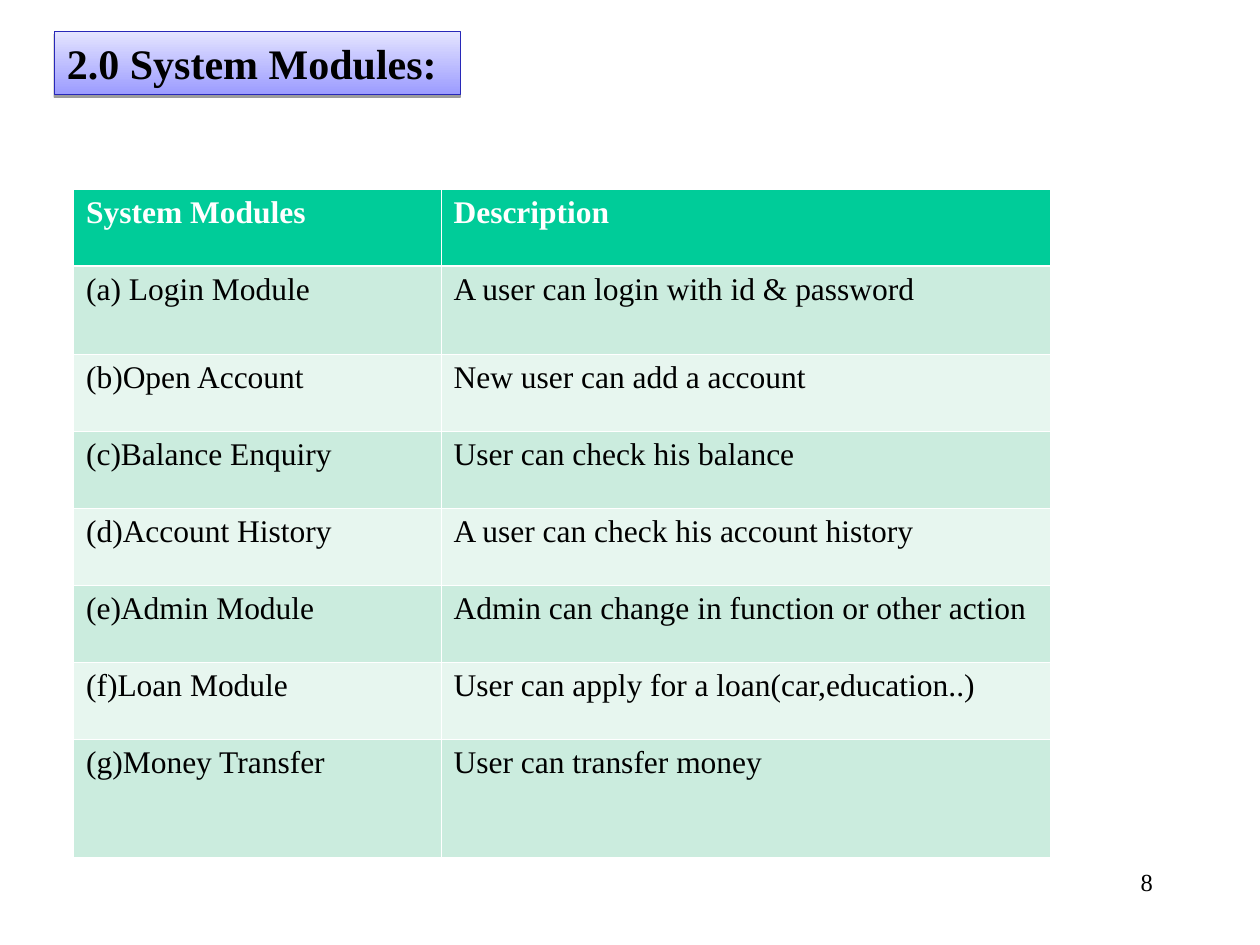
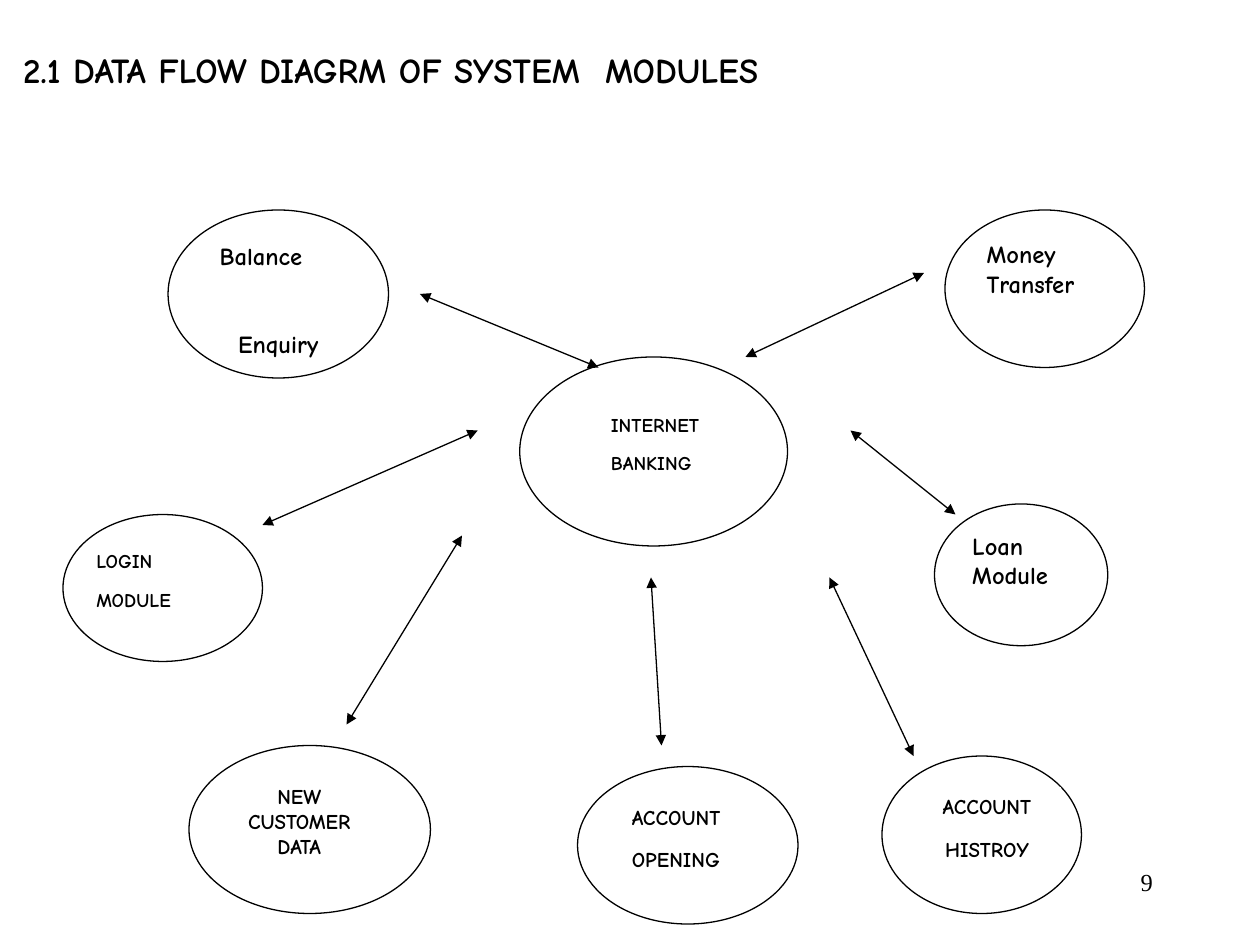
from dataclasses import dataclass

from lxml.etree import SubElement
from pptx import Presentation
from pptx.dml.color import RGBColor
from pptx.enum.shapes import MSO_CONNECTOR, MSO_SHAPE
from pptx.enum.text import MSO_ANCHOR, MSO_AUTO_SIZE, PP_ALIGN
from pptx.oxml.ns import qn
from pptx.util import Pt


@dataclass(frozen=True)
class Theme:
    serif: str = "Times New Roman"
    comic: str = "Comic Neue"
    ink: str = "000000"
    paper: str = "FFFFFF"
    header: str = "00CC99"
    bands: tuple = ("CBECDE", "E7F6EF")
    badge_fill: tuple = ("9C9CFF", "E4E4FF")
    badge_line: str = "2828B8"
    badge_size: float = 24
    heading_size: float = 20
    table_size: float = 18
    number_size: float = 14
    module_size: float = 14
    label_size: float = 12
    small_size: float = 11.1
    line: float = 0.75
    grid: float = 0.45
    header_rule: float = 1.47


THEME = Theme()
LEFT, CENTER, RIGHT = PP_ALIGN.LEFT, PP_ALIGN.CENTER, PP_ALIGN.RIGHT

MODULES = [
    ("System Modules", "Description"),
    ("(a) Login Module", "A user can login with id & password"),
    ("(b)Open Account", "New user can add a account"),
    ("(c)Balance Enquiry", "User can check his balance"),
    ("(d)Account History", "A user can check his account history"),
    ("(e)Admin Module", "Admin can change in function or other action"),
    ("(f)Loan Module", "User can apply for a loan(car,education..)"),
    ("(g)Money Transfer", "User can transfer money"),
]
COLUMN_WIDTHS = (210, 348)
ROW_HEIGHTS = (44, 50.5, 44, 44, 44, 44, 44, 67.5)

PLAIN_BUBBLES = [
    (297, 204, 153, 108),
    (504, 432, 114, 90),
    (330, 438, 126, 90),
    (36, 294, 114, 84),
    (108, 426, 138, 96),
]
NAMED_BUBBLES = [
    ((540, 120, 114, 90), "Money Transfer"),
    ((534, 288, 99, 81), "Loan Module"),
]
LABELS = [
    ((342, 234, 81, 45), ("INTERNET", "BANKING"), THEME.small_size, LEFT, 0.9),
    ((48, 312, 72, 45), ("LOGIN", "MODULE"), THEME.small_size, LEFT, 0.9),
    ((126, 444, 90, 54), ("NEW CUSTOMER DATA",), THEME.label_size, CENTER, 1.0),
    ((354, 456, 81, 54), ("ACCOUNT", "OPENING"), THEME.label_size, LEFT, 1.0),
    ((522, 450, 84, 48), ("ACCOUNT", "HISTROY"), THEME.label_size, CENTER, 1.0),
]
FLOWS = [
    (378, 426, 372, 330),
    (486, 246, 546, 294),
    (426, 204, 528, 156),
    (240, 168, 342, 210),
    (150, 300, 273, 246),
    (522, 432, 474, 330),
    (198, 414, 264, 306),
]


def rgb(value):
    return RGBColor.from_string(value)


def points(lengths):
    return [Pt(length) for length in lengths]


def write(frame, lines, font, size, bold=False, color=THEME.ink, align=LEFT,
          spacing=1.0, after=0, wrap=True):
    frame.word_wrap = wrap
    frame.auto_size = MSO_AUTO_SIZE.NONE
    frame.vertical_anchor = MSO_ANCHOR.TOP
    frame.text = "\n".join(lines)
    for paragraph in frame.paragraphs:
        paragraph.alignment = align
        paragraph.line_spacing = spacing
        paragraph.space_after = Pt(after)
        paragraph.font.name = font
        paragraph.font.size = Pt(size)
        paragraph.font.bold = bold
        paragraph.font.color.rgb = rgb(color)


def add_titled_slide(deck, heading, box, font, size, wrap=True):
    slide = deck.slides.add_slide(deck.slide_layouts[5])
    title = slide.shapes.title
    title.left, title.top, title.width, title.height = points(box)
    write(title.text_frame, [heading], font, size, bold=True, wrap=wrap)
    return slide


def add_page_number(slide, number):
    footer = slide.shapes.add_textbox(*points((516, 492, 150, 36)))
    write(footer.text_frame, [str(number)], THEME.serif, THEME.number_size, align=RIGHT)


def style_badge(title):
    title.fill.gradient()
    title.fill.gradient_angle = 90
    for stop, color in zip(title.fill.gradient_stops, THEME.badge_fill):
        stop.color.rgb = rgb(color)
    title.line.color.rgb = rgb(THEME.badge_line)
    title.line.width = Pt(THEME.line)
    effects = SubElement(title.element.spPr, qn("a:effectLst"))
    shadow = SubElement(effects, qn("a:outerShdw"), blurRad="0", dist=str(Pt(1.6)),
                        dir="5400000", rotWithShape="0")
    tint = SubElement(shadow, qn("a:srgbClr"), val=THEME.ink)
    SubElement(tint, qn("a:alpha"), val="38000")


def add_cell_border(cell, side, width):
    border = SubElement(cell._tc.get_or_add_tcPr(), qn(f"a:ln{side}"), w=str(Pt(width)))
    fill = SubElement(border, qn("a:solidFill"))
    SubElement(fill, qn("a:srgbClr"), val=THEME.paper)


def add_module_table(slide):
    table = slide.shapes.add_table(
        len(MODULES), len(COLUMN_WIDTHS),
        *points((42, 108, sum(COLUMN_WIDTHS), sum(ROW_HEIGHTS)))).table
    for column, width in zip(table.columns, COLUMN_WIDTHS):
        column.width = Pt(width)
    for index, (row, height, texts) in enumerate(zip(table.rows, ROW_HEIGHTS, MODULES)):
        row.height = Pt(height)
        is_header = index == 0
        fill = THEME.header if is_header else THEME.bands[(index - 1) % 2]
        top = THEME.header_rule if index == 1 else THEME.grid
        bottom = THEME.header_rule if is_header else THEME.grid
        for cell, text in zip(row.cells, texts):
            for side, width in zip("LRTB", (THEME.grid, THEME.grid, top, bottom)):
                add_cell_border(cell, side, width)
            cell.fill.solid()
            cell.fill.fore_color.rgb = rgb(fill)
            write(cell.text_frame, [text], THEME.serif, THEME.table_size, bold=is_header,
                  color=THEME.paper if is_header else THEME.ink)


def add_outline(slide, kind, box, line):
    outline = slide.shapes.add_shape(kind, *points(box))
    outline.shadow.inherit = False
    outline.fill.solid()
    outline.fill.fore_color.rgb = rgb(THEME.paper)
    outline.line.color.rgb = rgb(line)
    outline.line.width = Pt(THEME.line)
    return outline


def add_bubble(slide, box, lines=()):
    bubble = add_outline(slide, MSO_SHAPE.OVAL, box, THEME.ink)
    if lines:
        write(bubble.text_frame, lines, THEME.comic, THEME.module_size, bold=True)
    return bubble


def add_balance_bubble(slide):
    bubble = add_bubble(slide, (96, 120, 126, 96), ("Balance", "Enquiry"))
    balance, enquiry = bubble.text_frame.paragraphs
    balance._p.get_or_add_pPr().set("marL", str(Pt(4)))
    enquiry.alignment = CENTER
    enquiry.space_before = Pt(33.5)


def add_label(slide, box, lines, size, align, spacing):
    label = add_outline(slide, MSO_SHAPE.RECTANGLE, box, THEME.paper)
    write(label.text_frame, lines, THEME.comic, size, bold=True, align=align,
          spacing=spacing, after=10 if len(lines) > 1 else 0)


def add_flow(slide, ends):
    flow = slide.shapes.add_connector(MSO_CONNECTOR.STRAIGHT, *points(ends))
    flow.line.color.rgb = rgb(THEME.ink)
    flow.line.width = Pt(THEME.line)
    properties = flow.element.spPr
    for end in ("a:headEnd", "a:tailEnd"):
        SubElement(properties.find(qn("a:ln")), qn(end), type="triangle")
    SubElement(properties, qn("a:effectLst"))


def build_modules_slide(deck):
    slide = add_titled_slide(deck, "2.0 System Modules:", (31, 18, 232, 36),
                             THEME.serif, THEME.badge_size, wrap=False)
    style_badge(slide.shapes.title)
    add_module_table(slide)
    add_page_number(slide, 8)


def build_flow_slide(deck):
    slide = add_titled_slide(deck, "2.1 DATA FLOW DIAGRM OF SYSTEM  MODULES",
                             (6, 24, 534, 32), THEME.comic, THEME.heading_size)
    add_page_number(slide, 9)
    for box in PLAIN_BUBBLES:
        add_bubble(slide, box)
    for box, name in NAMED_BUBBLES:
        add_bubble(slide, box, [name])
    add_balance_bubble(slide)
    for label in LABELS:
        add_label(slide, *label)
    for ends in FLOWS:
        add_flow(slide, ends)


def main():
    deck = Presentation()
    deck.slide_width, deck.slide_height = Pt(720), Pt(540)
    build_modules_slide(deck)
    build_flow_slide(deck)
    deck.save("out.pptx")


if __name__ == "__main__":
    main()
